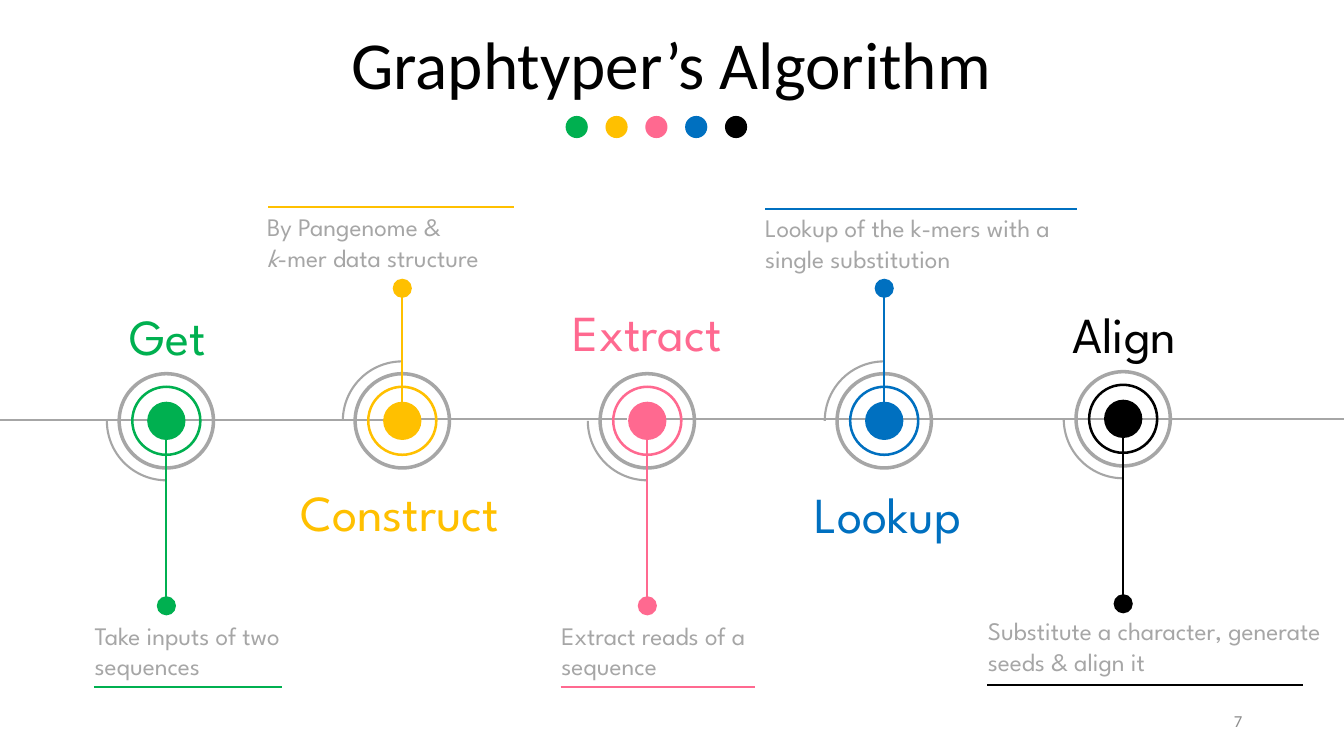
from dataclasses import dataclass

from lxml import etree
from pptx import Presentation
from pptx.dml.color import RGBColor
from pptx.enum import shapes, text
from pptx.oxml.ns import qn
from pptx.util import Inches, Pt


@dataclass(frozen=True)
class Theme:
    green: str = "00B050"
    yellow: str = "FFC000"
    pink: str = "FF6990"
    blue: str = "0070C0"
    black: str = "000000"
    grey: str = "A6A6A6"
    number_grey: str = "8C8C8C"
    heading_font: str = "Calibri"
    body_font: str = "League Spartan"
    title_size: int = 48
    stage_size: int = 36
    caption_size: int = 18
    number_size: int = 12
    line_width: float = 1.5


THEME = Theme()
TITLE = "Graphtyper’s Algorithm"
PAGE_NUMBER = "7"

# center: middle of the rings; dot_y: far end of the stem
# stage_box and caption_box: left, top, width; rule: left, right, y
# caption: paragraphs of (words, italic) runs
STAGES = [
    dict(name="Get", color=THEME.green, center=(1.65, 4.175), dot_y=6.01,
         stage_box=(0.56, 2.98, 2.2), caption_box=(0.84, 6.1, 2.15),
         rule=(0.93, 2.8, 6.82),
         caption=[[("Take inputs of two sequences", False)]]),
    dict(name="Construct", color=THEME.yellow, center=(3.99, 4.175), dot_y=2.86,
         stage_box=(2.49, 4.72, 2.95), caption_box=(2.55, 2.05, 2.78),
         rule=(2.66, 5.1, 2.05),
         caption=[[("By Pangenome &", False)],
                  [("k", True), ("-mer data structure", False)]]),
    dict(name="Extract", color=THEME.pink, center=(6.42, 4.175), dot_y=6.01,
         stage_box=(5.21, 2.94, 2.42), caption_box=(5.47, 6.1, 2.12),
         rule=(5.56, 7.49, 6.82),
         caption=[[("Extract reads of a sequence", False)]]),
    dict(name="Lookup", color=THEME.blue, center=(8.77, 4.175), dot_y=2.86,
         stage_box=(7.78, 4.74, 2.05), caption_box=(7.49, 2.06, 3.47),
         rule=(7.59, 10.68, 2.07),
         caption=[[("Lookup of the k-mers with a single substitution", False)]]),
    dict(name="Align", color=THEME.black, center=(11.14, 4.155), dot_y=5.99,
         stage_box=(9.94, 2.96, 2.42), caption_box=(9.7, 6.06, 3.64),
         rule=(9.79, 12.92, 6.8),
         caption=[[("Substitute a character, generate seeds & align it", False)]]),
]

# left, right, y
AXIS = [(10.68, 13.33, 4.16), (8.53, 10.96, 4.16), (6.33, 8.62, 4.16),
        (3.93, 6.22, 4.16), (1.65, 3.93, 4.17), (0, 1.65, 4.17)]

OUTER_RING, INNER_RING, ARC, HUB, STEM_DOT, TITLE_DOT = 0.97, 0.7, 1.18, 0.38, 0.19, 0.22
RING_THICKNESS = 0.036
TITLE_DOT_START, TITLE_DOT_STEP, TITLE_DOT_Y = 5.72, 0.395, 1.26
BOX_HEIGHT = 0.71


def rgb(color):
    return RGBColor.from_string(color)


def add_round(parent, kind, center, size, color):
    """Add a filled round preset shape of the given diameter around center."""
    x, y = center
    shape = parent.add_shape(kind, Inches(x - size / 2), Inches(y - size / 2),
                             Inches(size), Inches(size))
    shape.shadow.inherit = False
    shape.fill.solid()
    shape.fill.fore_color.rgb = rgb(color)
    shape.line.fill.background()
    return shape


def add_ring(parent, center, size, color):
    ring = add_round(parent, shapes.MSO_SHAPE.DONUT, center, size, color)
    ring.adjustments[0] = RING_THICKNESS


def add_quarter_arc(parent, center, upward):
    """Draw the left quarter circle, above the axis if upward, else below."""
    arc = add_round(parent, shapes.MSO_SHAPE.ARC, center, ARC, THEME.grey)
    arc.adjustments[0], arc.adjustments[1] = 54, 108
    arc.rotation = 90 if upward else 0
    arc.fill.background()
    arc.line.color.rgb = rgb(THEME.grey)
    arc.line.width = Pt(THEME.line_width)


def add_line(parent, start, end, color):
    line = parent.add_connector(shapes.MSO_CONNECTOR.STRAIGHT,
                                *map(Inches, (*start, *end)))
    line.line.color.rgb = rgb(color)
    line.line.width = Pt(THEME.line_width)
    etree.SubElement(line._element.spPr, qn("a:effectLst"))


def write(frame, paragraphs, font, size, color, align):
    """Fill a text frame with paragraphs of (words, italic) runs."""
    frame.word_wrap = True
    for index, runs in enumerate(paragraphs):
        paragraph = frame.paragraphs[0] if index == 0 else frame.add_paragraph()
        paragraph.alignment = align
        for words, italic in runs:
            run = paragraph.add_run()
            run.text = words
            run.font.name = font
            run.font.size = Pt(size)
            run.font.italic = italic
            run.font.color.rgb = rgb(color)


def add_text(parent, box, paragraphs, *style):
    frame = parent.add_textbox(*map(Inches, box)).text_frame
    write(frame, paragraphs, *style)
    return frame


def add_timeline(parent):
    for stage in STAGES:
        add_ring(parent, stage["center"], OUTER_RING, THEME.grey)
    for stage in STAGES:
        add_quarter_arc(parent, stage["center"], stage["dot_y"] < stage["center"][1])
    for left, right, y in AXIS:
        add_line(parent, (left, y), (right, y), THEME.grey)
    for stage in STAGES:
        color, center = stage["color"], stage["center"]
        stem_end = (center[0], stage["dot_y"])
        left, right, rule_y = stage["rule"]
        add_line(parent, center, stem_end, color)
        add_line(parent, (left, rule_y), (right, rule_y), color)
        add_ring(parent, center, INNER_RING, color)
        add_round(parent, shapes.MSO_SHAPE.OVAL, stem_end, STEM_DOT, color)
        add_round(parent, shapes.MSO_SHAPE.OVAL, center, HUB, color)
        add_text(parent, (*stage["stage_box"], BOX_HEIGHT), [[(stage["name"], False)]],
                 THEME.body_font, THEME.stage_size, color, text.PP_ALIGN.CENTER)
        add_text(parent, (*stage["caption_box"], BOX_HEIGHT), stage["caption"],
                 THEME.body_font, THEME.caption_size, THEME.grey, text.PP_ALIGN.LEFT)


def add_heading(slide):
    title = slide.shapes.title
    title.left, title.top, title.width, title.height = map(Inches, (2.8, 0.17, 7.72, 0.91))
    write(title.text_frame, [[(TITLE, False)]], THEME.heading_font,
          THEME.title_size, THEME.black, text.PP_ALIGN.CENTER)
    title.text_frame.auto_size = text.MSO_AUTO_SIZE.SHAPE_TO_FIT_TEXT
    dots = slide.shapes.add_group_shape().shapes
    for index, stage in enumerate(STAGES):
        center = (TITLE_DOT_START + index * TITLE_DOT_STEP, TITLE_DOT_Y)
        add_round(dots, shapes.MSO_SHAPE.OVAL, center, TITLE_DOT, stage["color"])


def main():
    prs = Presentation()
    prs.slide_width, prs.slide_height = Inches(13.33), Inches(7.5)
    slide = prs.slides.add_slide(prs.slide_layouts.get_by_name("Title Only"))
    add_timeline(slide.shapes)
    add_heading(slide)
    number = add_text(slide.shapes, (9.42, 6.95, 3, 0.4), [[(PAGE_NUMBER, False)]],
                      THEME.heading_font, THEME.number_size, THEME.number_grey,
                      text.PP_ALIGN.RIGHT)
    number.vertical_anchor = text.MSO_ANCHOR.MIDDLE
    prs.save("out.pptx")


if __name__ == "__main__":
    main()
